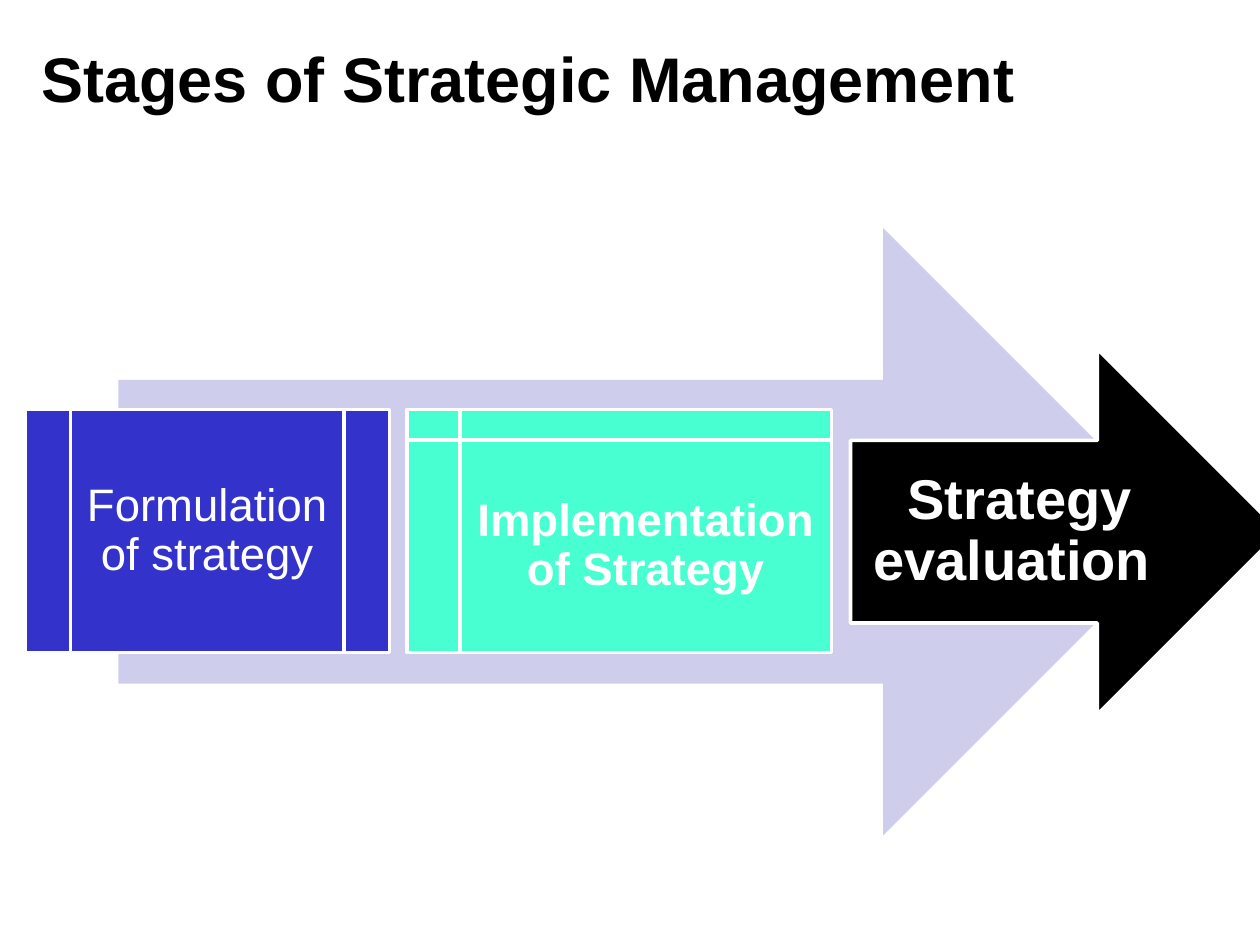
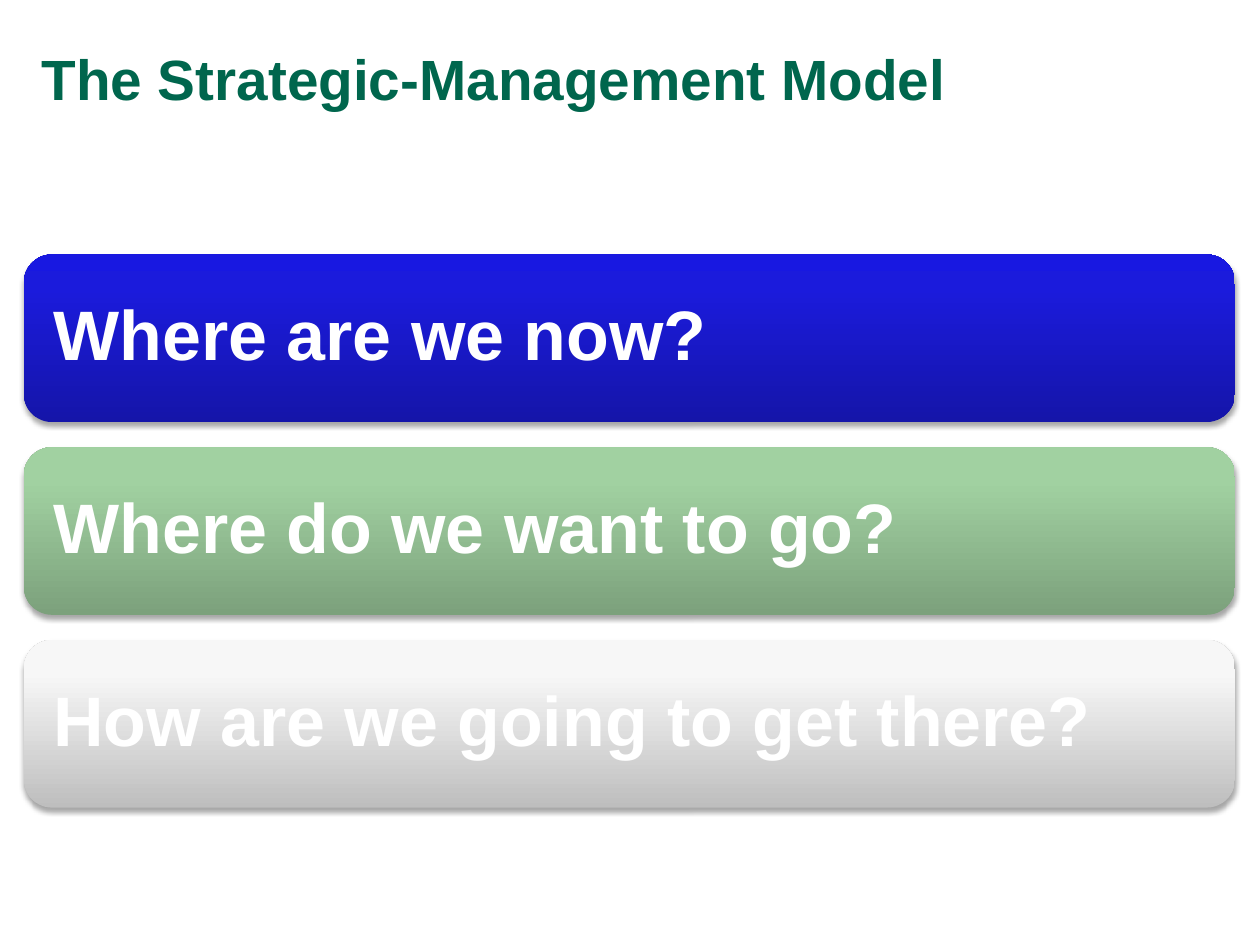
"""Build two slides on the stages and the model of strategic management."""
from lxml import etree
from pptx import Presentation
from pptx import util as u
from pptx.dml.color import RGBColor
from pptx.enum import shapes, text
from pptx.oxml import ns

HUES = {
    "black": "000000", "white": "FFFFFF", "green": "00664D",
    "pale": "CECEEC", "blue": "3333CC", "mint": "47FFD1",
}
FADES = {
    "blue": ("1515A9", "1B1BDC", "1818E1"),
    "green": ("7CA17C", "A1D1A1", "A1D3A1"),
    "grey": ("BEBEBE", "F7F7F7", "F8F8F8"),
}
KIND = shapes.MSO_SHAPE
ALIGN = text.PP_ALIGN


class Deck:
    def __init__(self):
        self.show = Presentation()
        self.show.slide_width = u.Inches(10)
        self.show.slide_height = u.Inches(7.5)
        self.font = "Arial"
        self.slide = None

    def hue(self, name):
        return RGBColor.from_string(HUES[name])

    def label(self, shape, words, size, hue, align, pad, bold=True):
        frame = shape.text_frame
        frame.word_wrap = True
        frame.auto_size = text.MSO_AUTO_SIZE.NONE
        frame.vertical_anchor = text.MSO_ANCHOR.MIDDLE
        frame.margin_left = frame.margin_right = u.Inches(pad[0])
        frame.margin_top = frame.margin_bottom = u.Inches(pad[1])
        para = frame.paragraphs[0]
        para.alignment = align
        run = para.add_run()
        run.text = words
        run.font.name = self.font
        run.font.size = u.Pt(size)
        run.font.bold = bold
        run.font.color.rgb = self.hue(hue)
        return para

    def page(self, words, size, hue):
        self.slide = self.show.slides.add_slide(self.show.slide_layouts[5])
        title = self.slide.shapes.title
        title.left, title.top = u.Inches(0.23), u.Inches(0.15)
        title.width, title.height = u.Inches(8.03), u.Inches(0.93)
        self.label(title, words, size, hue, ALIGN.LEFT, (0.1, 0.05))

    def block(self, kind, box, fill=None, edge=False):
        shape = self.slide.shapes.add_shape(kind, *map(u.Inches, box))
        shape.shadow.inherit = False
        if fill:
            shape.fill.solid()
            shape.fill.fore_color.rgb = self.hue(fill)
        if edge:
            shape.line.color.rgb = self.hue("white")
            shape.line.width = u.Pt(2)
        else:
            shape.line.fill.background()
        return shape

    def stage(self, kind, box, fill, words, size, pad, bold=True):
        shape = self.block(kind, box, fill, edge=True)
        para = self.label(shape, words, size, "white", ALIGN.CENTER, (pad, pad), bold)
        para.line_spacing = 0.9

    def bar(self, box, fade, words):
        shape = self.block(KIND.ROUNDED_RECTANGLE, box)
        self.blend(shape, FADES[fade])
        self.shade(shape)
        para = self.label(shape, words, 40, "white", ALIGN.LEFT, (0.17, 0.17))
        para.line_spacing = 0.9

    def blend(self, shape, tones):
        shape.fill.gradient()
        shape.fill.gradient_angle = 90
        stops = shape.element.spPr.find(ns.qn("a:gradFill")).find(ns.qn("a:gsLst"))
        for stop in list(stops):
            stops.remove(stop)
        for spot, tone in zip((0, 80, 100), tones):
            stop = etree.SubElement(stops, ns.qn("a:gs"), pos=str(spot * 1000))
            etree.SubElement(stop, ns.qn("a:srgbClr"), val=tone)

    def shade(self, shape):
        effects = shape.element.spPr.find(ns.qn("a:effectLst"))
        cast = etree.SubElement(
            effects, ns.qn("a:outerShdw"), blurRad=str(int(u.Pt(3.1))),
            dist=str(int(u.Pt(1.8))), dir=str(90 * 60000), rotWithShape="0")
        tone = etree.SubElement(cast, ns.qn("a:srgbClr"), val=HUES["black"])
        etree.SubElement(tone, ns.qn("a:alpha"), val="35000")


def main():
    deck = Deck()

    deck.page("Stages of Strategic Management", 36, "black")
    deck.block(KIND.RIGHT_ARROW, (0.94, 1.81, 8.48, 4.82), "pale")
    deck.stage(KIND.FLOWCHART_PREDEFINED_PROCESS, (0.2, 3.25, 2.89, 1.93),
               "blue", "Formulation of strategy", 26, 0.11, bold=False)
    deck.stage(KIND.FLOWCHART_INTERNAL_STORAGE, (3.23, 3.25, 3.37, 1.93),
               "mint", "Implementation of Strategy", 26, 0.11)
    deck.stage(KIND.RIGHT_ARROW, (6.75, 2.77, 3.41, 2.9),
               "black", "Strategy evaluation ", 32, 0.13)

    deck.page("The Strategic-Management Model", 32.4, "green")
    asks = (
        ("blue", "Where are we now?"),
        ("green", "Where do we want to go?"),
        ("grey", "How are we going to get there?"),
    )
    for row, (fade, words) in enumerate(asks):
        deck.bar((0.19, 2.02 + row * 1.53, 9.61, 1.33), fade, words)

    deck.show.save("out.pptx")


if __name__ == "__main__":
    main()
